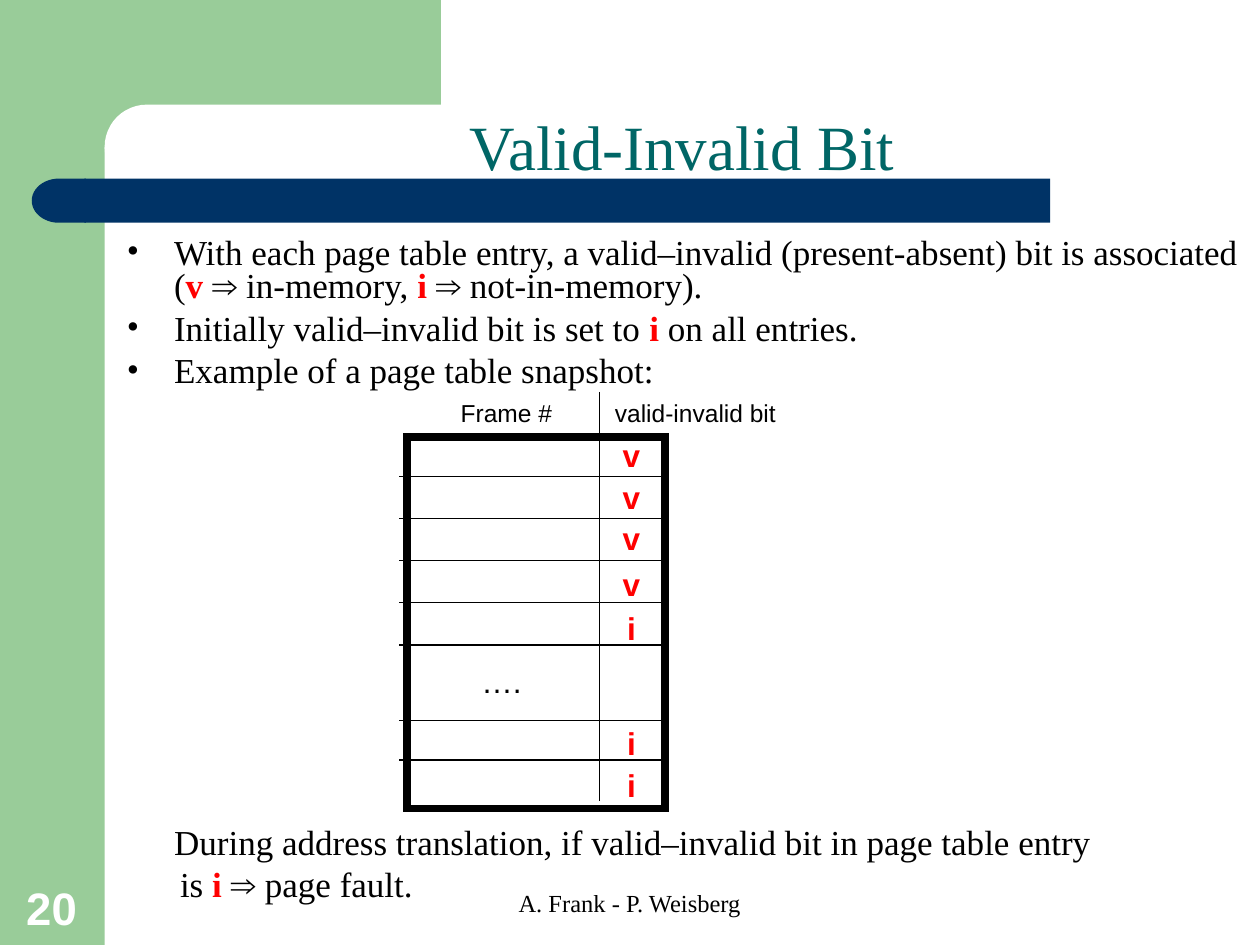
"""Build the Valid-Invalid Bit slide with its page table snapshot."""
from lxml import etree
from pptx import Presentation
from pptx import util as u
from pptx.dml.color import RGBColor
from pptx.enum import shapes, text
from pptx.oxml.ns import qn

COLORS = {"green": "99CC99", "navy": "003366", "teal": "006666",
          "white": "FFFFFF", "black": "000000", "red": "FF0000"}
SERIF, SANS = "Times New Roman", "Arial"
PLAIN, BIT, ARROW = (SERIF, "black", False), (SERIF, "red", True), (SANS, "black", False)

BULLETS = [
    [("With each page table entry, a valid–invalid (present-absent) bit is associated", PLAIN),
     None,
     ("(", PLAIN), ("v ", BIT), ("⇒", ARROW), (" in-memory, ", PLAIN),
     ("i ", BIT), ("⇒", ARROW), (" not-in-memory).", PLAIN)],
    [("Initially valid–invalid bit is set to", PLAIN), (" i ", BIT),
     ("on all entries.", PLAIN)],
    [("Example of a page table snapshot:", PLAIN)],
]
CLOSING = [
    [("During address translation, if valid–invalid bit in page table entry", PLAIN)],
    [("is", PLAIN), (" i ", BIT), ("⇒", ARROW), (" page fault.", PLAIN)],
]
BIT_TOPS = [("v", 8.67), ("v", 9.5), ("v", 10.34), ("v", 11.26),
            ("i", 12.14), ("i", 14.47), ("i", 15.32)]
ROW_LINES = [9.6 + 0.85 * row for row in range(5)] + [14.53, 15.32]


def rgb(name):
    """Return the named colour."""
    return RGBColor.from_string(COLORS[name])


def box(place):
    """Turn left, top, width and height in centimetres into lengths."""
    return [u.Cm(value) for value in place]


def style_run(run, size, face, color, bold):
    """Set the font of a run."""
    run.font.size, run.font.name, run.font.bold = u.Pt(size), face, bold
    run.font.color.rgb = rgb(color)


def add_block(slide, kind, place, fill):
    """Add a filled shape without outline."""
    block = slide.shapes.add_shape(kind, *box(place))
    block.shadow.inherit = False
    block.fill.solid()
    block.fill.fore_color.rgb = rgb(fill)
    block.line.fill.background()
    return block


def add_rule(slide, x1, y1, x2, y2):
    """Add a thin black line."""
    rule = slide.shapes.add_connector(shapes.MSO_CONNECTOR.STRAIGHT, *box((x1, y1, x2, y2)))
    rule.line.width = u.Pt(0.75)
    rule.line.color.rgb = rgb("black")
    etree.SubElement(rule._element.spPr, qn("a:effectLst"))


def add_label(slide, place, words, size, style, anchor="MIDDLE", align="CENTER", wrap=False):
    """Add a single line of text."""
    frame = slide.shapes.add_textbox(*box(place)).text_frame
    frame.word_wrap = wrap
    frame.vertical_anchor = text.MSO_ANCHOR[anchor]
    frame.text = words
    frame.paragraphs[0].alignment = text.PP_ALIGN[align]
    style_run(frame.paragraphs[0].runs[0], size, *style)


def set_indent(paragraph, left, bullet=False):
    """Indent a paragraph, hanging a bullet if wanted."""
    props = paragraph._p.get_or_add_pPr()
    props.set("marL", str(u.Cm(left)))
    if bullet:
        props.set("indent", str(-u.Cm(left)))
        etree.SubElement(props, qn("a:buFont"), typeface=SERIF)
        etree.SubElement(props, qn("a:buChar"), char="•")


def add_passage(slide, place, paragraphs, indents, bullet):
    """Add paragraphs of mixed runs, where None is a line break."""
    frame = slide.shapes.add_textbox(*box(place)).text_frame
    frame.word_wrap = True
    for number, (pieces, indent) in enumerate(zip(paragraphs, indents)):
        paragraph = frame.add_paragraph() if number else frame.paragraphs[0]
        set_indent(paragraph, indent, bullet)
        paragraph.line_spacing = 0.8
        paragraph.space_before = u.Pt(5 if number else 0)
        for piece in pieces:
            if piece is None:
                paragraph.add_line_break()
                continue
            run = paragraph.add_run()
            run.text = piece[0]
            style_run(run, 20, *piece[1])


def add_backdrop(slide):
    """Add the green corner and the navy bar."""
    kinds = shapes.MSO_SHAPE
    add_block(slide, kinds.RECTANGLE, (0, 0, 2.11, 19.05), "green")
    add_block(slide, kinds.RECTANGLE, (1.9, 0, 6.99, 2.97), "green")
    corner = add_block(slide, kinds.ROUNDED_RECTANGLE, (2.11, 2.11, 8.69, 1.7), "white")
    corner.adjustments[0] = 0.5
    add_block(slide, kinds.RECTANGLE, (1.7, 3.6, 19.47, 0.89), "navy")
    bar_end = add_block(slide, kinds.FLOWCHART_DELAY, (0.64, 3.6, 1.09, 0.89), "navy")
    bar_end.rotation = 180


def add_page_table(slide):
    """Add the page table snapshot with its valid-invalid bits."""
    border = add_block(slide, shapes.MSO_SHAPE.RECTANGLE, (8.2, 8.81, 5.21, 7.49), "white")
    border.line.width = u.Pt(4.5)
    border.line.color.rgb = rgb("black")
    etree.SubElement(border.line._get_or_add_ln(), qn("a:miter"), lim="800000")
    for y in ROW_LINES:
        add_rule(slide, 8.05, y, 13.36, y)
    add_rule(slide, 12.09, 7.9, 12.09, 16.15)
    for bit, top in BIT_TOPS:
        add_label(slide, (12.3, top, 0.86, 1.02), bit, 18, (SANS, "red", True))
    add_label(slide, (9.2, 13.21, 1.82, 1.02), "….", 18, ARROW)
    add_label(slide, (8.71, 7.9, 3, 0.86), "Frame #", 14, ARROW)
    add_label(slide, (11.92, 7.9, 4.2, 0.86), "valid-invalid bit", 14, ARROW)


def main():
    """Build and save the slide."""
    deck = Presentation()
    deck.slide_width, deck.slide_height = u.Cm(25.4), u.Cm(19.05)
    slide = deck.slides.add_slide(deck.slide_layouts[6])
    add_backdrop(slide)
    add_label(slide, (0.28, 17.6, 1.63, 1.37), "20", 26, (SANS, "white", True),
              "BOTTOM", "LEFT")
    add_label(slide, (8.67, 17.78, 8.05, 1.27), "A. Frank - P. Weisberg", 14, PLAIN,
              "TOP", wrap=True)
    add_label(slide, (2.11, 2.11, 23.29, 1.7), "Valid-Invalid Bit", 36,
              (SERIF, "teal", False), "BOTTOM", wrap=True)
    add_passage(slide, (2.31, 4.68, 23.09, 3.2), BULLETS, [0.95] * 3, True)
    add_passage(slide, (3.26, 16.57, 22.14, 1.9), CLOSING, [0, 0.12], False)
    add_page_table(slide)
    deck.save("out.pptx")


if __name__ == "__main__":
    main()
